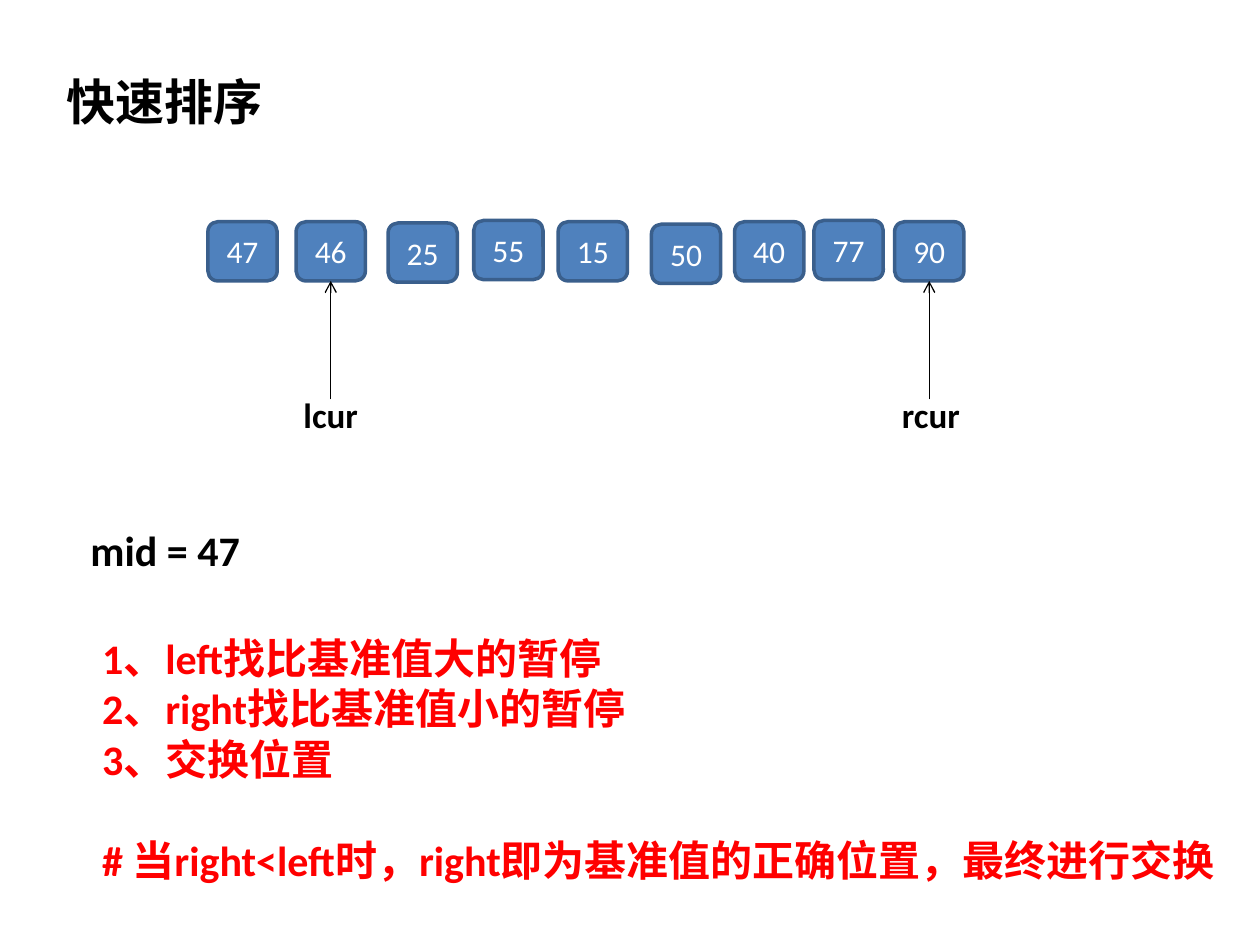
from lxml import etree
from pptx import Presentation
from pptx import util as u
from pptx.dml import color as colors
from pptx.enum import shapes, text
from pptx.oxml import ns

BLACK, WHITE, RED = "000000", "FFFFFF", "FF0000"
BLUE, DARK_BLUE = "4F81BD", "3A5F8C"


def rgb(value):
    return colors.RGBColor.from_string(value)


class SortPage:
    font = "Calibri"
    cell_size = (0.55, 0.47)

    def __init__(self, deck):
        self.page = deck.slides.add_slide(deck.slide_layouts[1])

    def set_text(self, box, lines, size, color, bold=True, align=text.PP_ALIGN.LEFT):
        frame = box.text_frame
        frame.text = "\n".join(lines)
        for para in frame.paragraphs:
            para.alignment = align
            para.space_before = u.Pt(0)
            for span in para.runs:
                span.font.name = self.font
                span.font.size = u.Pt(size)
                span.font.bold = bold
                span.font.color.rgb = rgb(color)

    def fit(self, box, wrap=False):
        frame = box.text_frame
        frame.word_wrap = wrap
        frame.auto_size = text.MSO_AUTO_SIZE.SHAPE_TO_FIT_TEXT
        frame.vertical_anchor = text.MSO_ANCHOR.TOP

    def place(self, box, left, top, width, height):
        box.left, box.top = u.Inches(left), u.Inches(top)
        box.width, box.height = u.Inches(width), u.Inches(height)

    def title(self, line, *area):
        box = self.page.shapes.title
        self.place(box, *area)
        self.fit(box)
        self.set_text(box, [line], 28, BLACK)

    def notes(self, lines, *area):
        box = self.page.placeholders[1]
        self.place(box, *area)
        self.fit(box, wrap=True)
        self.set_text(box, lines, 24, RED)
        for para in box.text_frame.paragraphs:
            props = para._p.get_or_add_pPr()
            props.set("marL", "0")
            props.set("indent", "0")
            etree.SubElement(props, ns.qn("a:buNone"))
        box.text_frame.paragraphs[-1].space_before = u.Pt(29)

    def label(self, line, size, *area):
        box = self.page.shapes.add_textbox(*map(u.Inches, area))
        self.fit(box)
        self.set_text(box, [line], size, BLACK)

    def cell(self, value, left, top):
        box = self.page.shapes.add_shape(
            shapes.MSO_SHAPE.ROUNDED_RECTANGLE,
            *map(u.Inches, (left, top, *self.cell_size)))
        box.shadow.inherit = False
        box.fill.solid()
        box.fill.fore_color.rgb = rgb(BLUE)
        box.line.color.rgb = rgb(DARK_BLUE)
        box.line.width = u.Pt(2)
        box.text_frame.vertical_anchor = text.MSO_ANCHOR.MIDDLE
        self.set_text(box, [str(value)], 18, WHITE, False, text.PP_ALIGN.CENTER)
        return box

    def pointer(self, target, start):
        middle = target.left + target.width // 2
        arrow = self.page.shapes.add_connector(
            shapes.MSO_CONNECTOR.STRAIGHT, middle, u.Inches(start),
            middle, target.top + target.height)
        arrow.end_connect(target, 2)
        arrow.line.color.rgb = rgb(BLACK)
        arrow.line.width = u.Pt(0.75)
        outline = arrow._element.spPr.find(ns.qn("a:ln"))
        etree.SubElement(outline, ns.qn("a:tailEnd"), type="arrow")
        etree.SubElement(arrow._element.spPr, ns.qn("a:effectLst"))


def main():
    deck = Presentation()
    deck.slide_width, deck.slide_height = u.Inches(10), u.Inches(7.5)
    page = SortPage(deck)
    page.title("快速排序", 0.43, 0.52, 1.77, 0.57)

    numbers = [
        (47, 1.65, 1.76), (46, 2.35, 1.76), (25, 3.08, 1.77),
        (55, 3.76, 1.75), (15, 4.43, 1.76), (50, 5.17, 1.78),
        (40, 5.83, 1.76), (77, 6.46, 1.75), (90, 7.1, 1.76),
    ]
    cells = {value: page.cell(value, left, top) for value, left, top in numbers}

    for name, value, left, width in (("lcur", 46, 2.31, 0.75), ("rcur", 90, 7.06, 0.67)):
        page.pointer(cells[value], 3.17)
        page.label(name, 20, left, 3.07, width, 0.44)

    page.label("mid = 47", 24, 0.62, 4.11, 1.4, 0.5)
    page.notes([
        "1、left找比基准值大的暂停",
        "2、right找比基准值小的暂停",
        "3、交换位置",
        "# 当right<left时，right即为基准值的正确位置，最终进行交换",
    ], 0.71, 4.97, 9.17, 2.12)
    deck.save("out.pptx")


if __name__ == "__main__":
    main()
